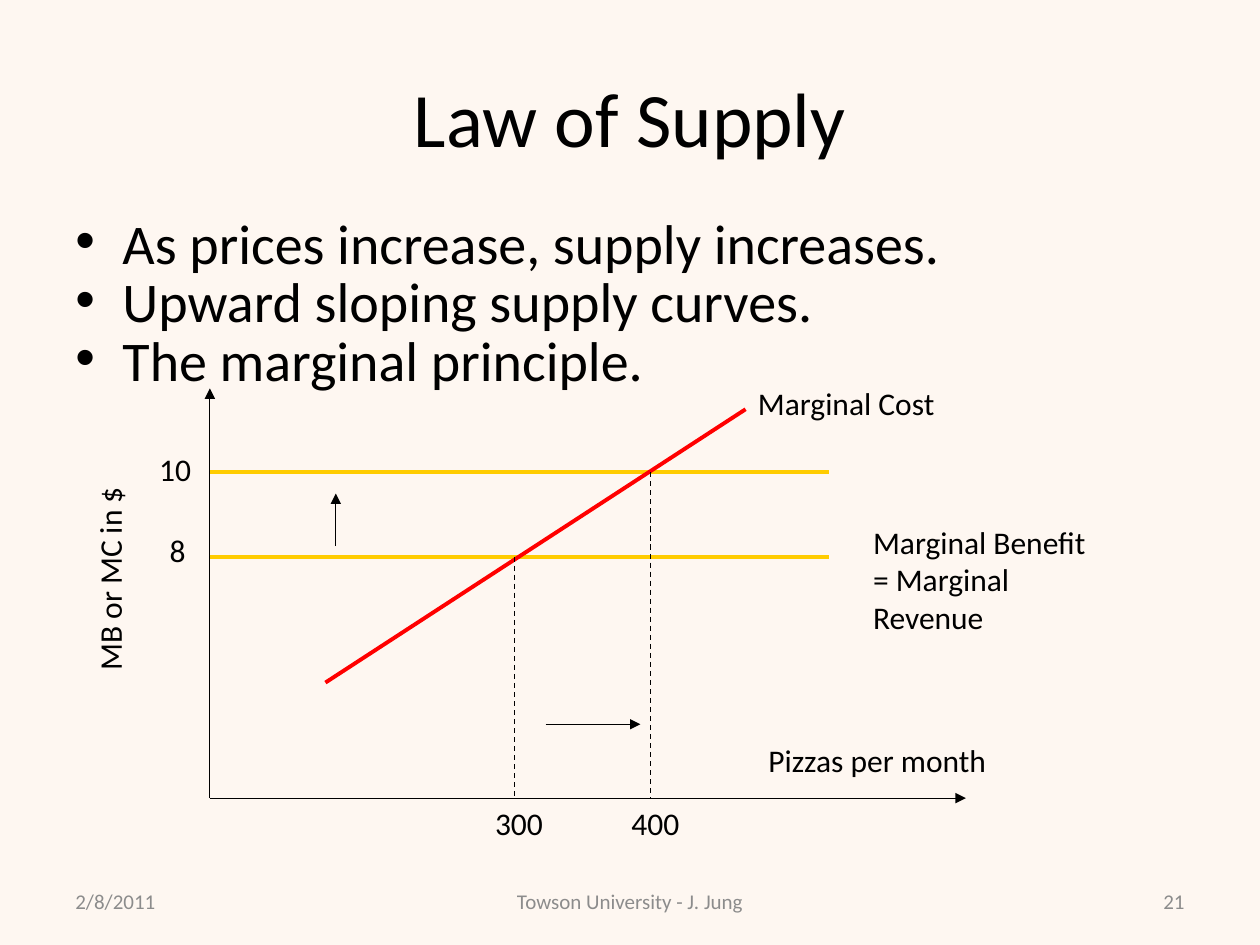
from lxml import etree
from pptx import Presentation
from pptx.dml.color import RGBColor
from pptx.enum.dml import MSO_LINE_DASH_STYLE as DASH
from pptx.enum.shapes import MSO_CONNECTOR as CONN
from pptx.enum.text import MSO_ANCHOR as ANCHOR, MSO_AUTO_SIZE as FIT, PP_ALIGN as AL
from pptx.oxml.ns import qn
from pptx.util import Cm, Pt

COLORS = {
    "background": "FEF7F1",
    "text": "000000",
    "footer": "8C8C8C",
    "benefit": "FFCC00",
    "cost": "FF0000",
}
FONT = "Calibri"


def rgb(name):
    return RGBColor.from_string(COLORS[name])


def add_text(slide, box, lines, size, color="text", align=AL.LEFT, anchor=ANCHOR.TOP):
    sp = slide.shapes.add_textbox(*map(Cm, box))
    tf = sp.text_frame
    tf.word_wrap = True
    tf.vertical_anchor = anchor
    for i, line in enumerate(lines):
        p = tf.paragraphs[0] if i == 0 else tf.add_paragraph()
        p.alignment = align
        r = p.add_run()
        r.text = line
        r.font.name, r.font.size = FONT, Pt(size)
        r.font.color.rgb = rgb(color)
    return sp


def add_line(slide, start, end, color="text", width=0.75, dashed=False, arrow=False):
    line = slide.shapes.add_connector(CONN.STRAIGHT, *map(Cm, (*start, *end)))
    line.line.color.rgb = rgb(color)
    line.line.width = Pt(width)
    if dashed:
        line.line.dash_style = DASH.DASH
    if arrow:
        etree.SubElement(line.line._get_or_add_ln(), qn("a:tailEnd"), type="triangle")
    etree.SubElement(line._element.spPr, qn("a:effectLst"))


def add_title(slide, box):
    add_text(slide, box, ["Law of Supply"], 44, align=AL.CENTER, anchor=ANCHOR.MIDDLE)


def add_bullets(slide, box):
    sp = add_text(slide, box, [
        "As prices increase, supply increases.",
        "Upward sloping supply curves.",
        "The marginal principle.",
    ], 32)
    for i, p in enumerate(sp.text_frame.paragraphs):
        p.line_spacing = 0.7
        p.space_before = Pt(6.4 if i else 0)
        pPr = p._p.get_or_add_pPr()
        pPr.set("marL", str(Cm(0.95)))
        pPr.set("indent", str(-Cm(0.95)))
        etree.SubElement(pPr, qn("a:buFont"), typeface="Arial")
        etree.SubElement(pPr, qn("a:buChar"), char="•")


def add_supply_diagram(slide, box):
    left, top, width, height = box

    def at(x, y):
        return left + x, top + y

    def label(text, x, y, w, h=1.02):
        sp = add_text(slide, (*at(x, y), w, h), [text], 18)
        sp.text_frame.auto_size = FIT.SHAPE_TO_FIT_TEXT
        return sp

    # Axes
    for end in ((0, 0), (width, height)):
        add_line(slide, at(0, height), at(*end), arrow=True)

    # Marginal benefit at each price, and marginal cost
    high, low = 1.69, 3.39
    for y in (high, low):
        add_line(slide, at(0, y), at(12.49, y), "benefit", 2.25)
    add_line(slide, at(2.33, 5.93), at(10.8, 0.42), "cost", 2.25)

    # Quantities supplied at each price
    for x, y, quantity in ((6.14, low, "300"), (8.89, high, "400")):
        add_line(slide, at(x, y), at(x, height), dashed=True)
        label(quantity, x - 0.64, height, 2.34)

    # Shifts in price and quantity
    add_line(slide, at(2.54, 3.18), at(2.54, 2.12), arrow=True)
    add_line(slide, at(6.77, 6.77), at(8.68, 6.77), arrow=True)

    # Labels
    label("10", -1.27, 1.11, 1.69)
    label("8", -1.06, 2.76, 1.06)
    label("MB or MC in $", -5.83, 1.62, 7.62).rotation = 270
    label("Marginal Cost", 10.8, -0.21, 5.08)
    label("Pizzas per month", 11.01, 6.98, 6.35)
    label("Marginal Benefit = Marginal Revenue", 13.12, 2.58, 5.08, 2.57)


def add_footer(slide, box):
    left, top, width, height = box
    side, middle = 5.93, 8.04
    for text, x, w, align in (
        ("2/8/2011", 0, side, AL.LEFT),
        ("Towson University - J. Jung", (width - middle) / 2, middle, AL.CENTER),
        ("21", width - side, side, AL.RIGHT),
    ):
        add_text(slide, (left + x, top, w, height), [text], 12, "footer",
                 align, ANCHOR.MIDDLE)


def main():
    prs = Presentation()
    prs.slide_width, prs.slide_height = Cm(25.4), Cm(19.05)
    slide = prs.slides.add_slide(prs.slide_layouts[6])
    fill = slide.background.fill
    fill.solid()
    fill.fore_color.rgb = rgb("background")

    add_title(slide, (1.27, 0.76, 22.86, 3.18))
    add_bullets(slide, (1.27, 4.45, 22.86, 4.01))
    add_footer(slide, (1.27, 17.65, 22.86, 1.02))
    add_supply_diagram(slide, (4.23, 7.83, 15.24, 8.26))
    prs.save("out.pptx")


if __name__ == "__main__":
    main()
